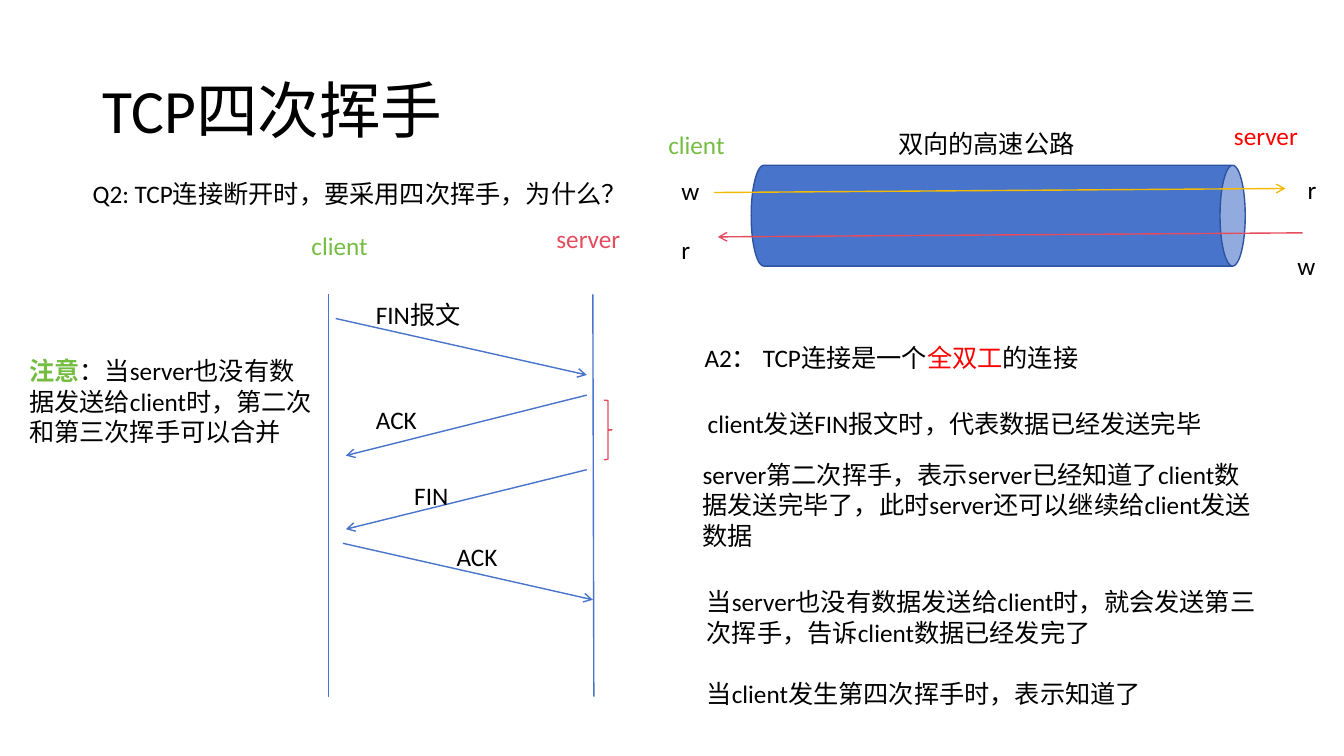
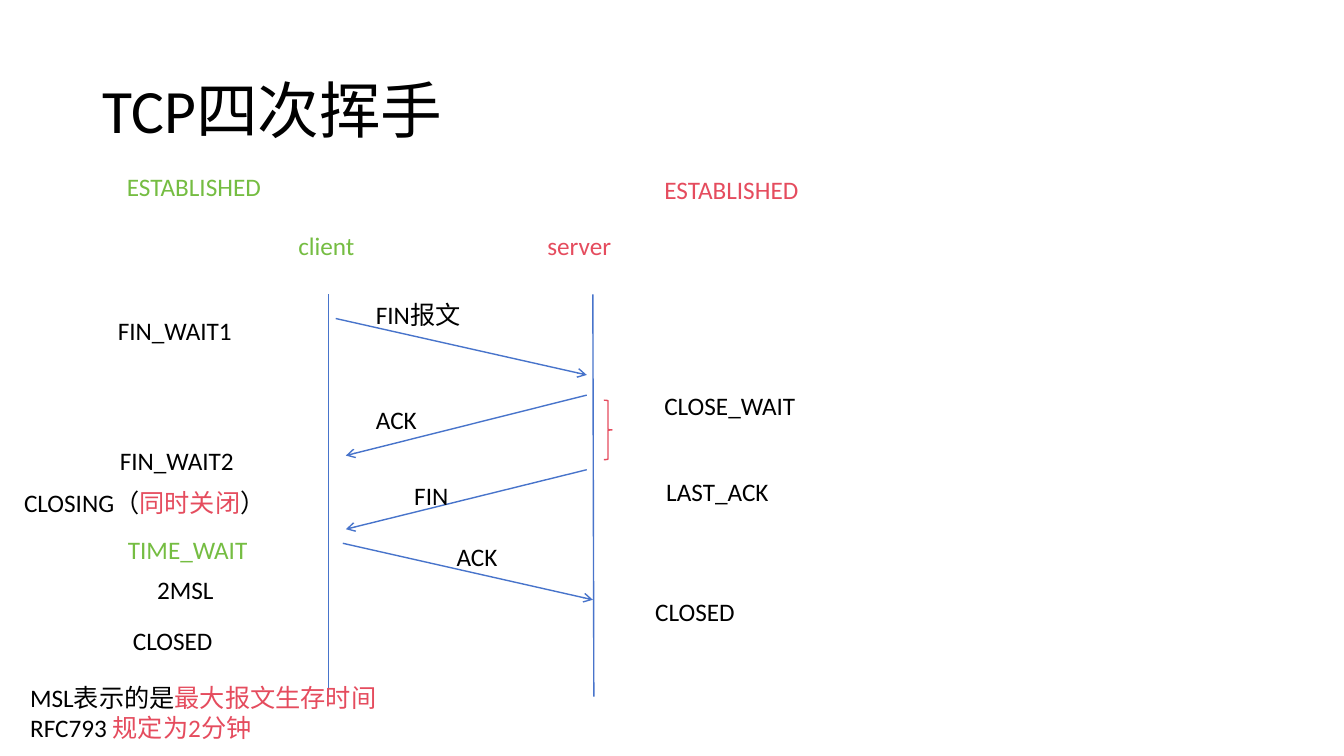
from dataclasses import dataclass

from lxml import etree
from pptx import Presentation
from pptx.dml.color import RGBColor
from pptx.enum.shapes import MSO_CONNECTOR, MSO_SHAPE
from pptx.enum.text import MSO_ANCHOR, MSO_AUTO_SIZE
from pptx.oxml.ns import qn
from pptx.util import Inches, Pt

STRAIGHT = MSO_CONNECTOR.STRAIGHT
CAN, RIGHT_BRACE = MSO_SHAPE.CAN, MSO_SHAPE.RIGHT_BRACE
MIDDLE = MSO_ANCHOR.MIDDLE
GROW = MSO_AUTO_SIZE.SHAPE_TO_FIT_TEXT
BLANK = 6


@dataclass(frozen=True)
class Theme:
    font: str = "Calibri"
    title_size: int = 44
    body_size: int = 18
    line_width: int = 1
    ink: str = "000000"
    blue: str = "4874CB"
    dark_blue: str = "2E54A1"
    green: str = "75BD42"
    rose: str = "E54C5E"
    red: str = "FF0000"
    gold: str = "F2BA02"


T = Theme()


def rgb(value):
    return RGBColor.from_string(value)


def format_run(r, color, size=T.body_size, bold=False):
    r.font.name = T.font
    r.font.size = Pt(size)
    r.font.bold = bold
    r.font.color.rgb = rgb(color)


def add_box(s, x, y, w, h):
    tf = s.shapes.add_textbox(Inches(x), Inches(y), Inches(w), Inches(h)).text_frame
    tf.word_wrap = True
    return tf


def add_title(s, text):
    tf = add_box(s, 0.92, 0.4, 11.5, 1.45)
    tf.vertical_anchor = MIDDLE
    tf.text = text
    p = tf.paragraphs[0]
    p.line_spacing = 0.9
    format_run(p.runs[0], T.ink, T.title_size)


def add_label(s, x, y, w, text, color=T.ink, h=0.4):
    tf = add_box(s, x, y, w, h)
    tf.auto_size = GROW
    tf.text = text
    format_run(tf.paragraphs[0].runs[0], color)


def add_rich_text(s, x, y, w, h, paragraphs, gap=0, grow=True):
    """Each paragraph is a list of (text, colour) or (text, colour, bold) runs."""
    tf = add_box(s, x, y, w, h)
    if grow:
        tf.auto_size = GROW
    for i, runs in enumerate(paragraphs):
        p = tf.add_paragraph() if i else tf.paragraphs[0]
        if i:
            p.space_before = Pt(gap)
        for text, color, *bold in runs:
            r = p.add_run()
            r.text = text
            format_run(r, color, bold=bool(bold and bold[0]))


def add_line(s, start, end, color=T.blue, arrow=False):
    points = [Inches(v) for v in (*start, *end)]
    line = s.shapes.add_connector(STRAIGHT, *points)
    line.line.color.rgb = rgb(color)
    line.line.width = Pt(T.line_width)
    if arrow:
        etree.SubElement(line.line._get_or_add_ln(), qn("a:tailEnd"), type="arrow")
    etree.SubElement(line._element.spPr, qn("a:effectLst"))


def add_outline_shape(s, kind, x, y, w, h, line, fill=None):
    sp = s.shapes.add_shape(kind, Inches(x), Inches(y), Inches(w), Inches(h))
    sp.shadow.inherit = False
    if fill:
        sp.fill.solid()
        sp.fill.fore_color.rgb = rgb(fill)
    else:
        sp.fill.background()
    sp.line.color.rgb = rgb(line)
    sp.line.width = Pt(T.line_width)
    return sp


def add_sequence_diagram(s):
    """Two lifelines, the four messages between them and the waiting brace."""
    for top_x, bottom_x in ((3.26, 3.26), (5.88, 5.89)):
        add_line(s, (top_x, 2.92), (bottom_x, 6.91))
    messages = (
        ((3.33, 3.16), (5.82, 3.72), "FIN报文", 3.63, 2.92, 1.34),
        ((5.82, 3.92), (3.43, 4.52), "ACK", 3.63, 3.96, 1.41),
        ((5.82, 4.66), (3.43, 5.25), "FIN", 4.01, 4.72, 0.72),
        ((3.4, 5.39), (5.88, 5.95), "ACK", 4.43, 5.32, 0.94),
    )
    for start, end, text, x, y, w in messages:
        add_line(s, start, end, arrow=True)
        add_label(s, x, y, w, text)
    add_outline_shape(s, RIGHT_BRACE, 5.99, 3.97, 0.08, 0.59, T.rose)


def add_duplex_pipe(s):
    can = add_outline_shape(s, CAN, 9.4, -0.31, 1, 4.9, T.dark_blue, T.blue)
    can.rotation = 90
    add_line(s, (7.08, 1.91), (12.75, 1.87), T.gold, arrow=True)
    add_line(s, (12.92, 2.31), (7.12, 2.35), T.rose, arrow=True)
    add_label(s, 6.53, 1.23, 1.05, "client", T.green)
    add_label(s, 12.14, 1.14, 0.95, "server", T.red)
    add_label(s, 8.81, 1.22, 2.47, "双向的高速公路")
    for x, y, w, text in ((6.66, 1.69, 0.33, "w"), (12.87, 1.68, 0.24, "r"),
                          (12.77, 2.43, 0.56, "w"), (6.66, 2.28, 0.61, "r")):
        add_label(s, x, y, w, text)


def new_slide(prs):
    s = prs.slides.add_slide(prs.slide_layouts[BLANK])
    add_title(s, "TCP四次挥手")
    add_sequence_diagram(s)
    return s


def build_reason_slide(prs):
    s = new_slide(prs)
    add_label(s, 0.82, 1.72, 6, "Q2: TCP连接断开时，要采用四次挥手，为什么？")
    add_label(s, 2.99, 2.24, 0.85, "client", T.green)
    add_label(s, 5.42, 2.17, 1.24, "server", T.rose)
    add_duplex_pipe(s)
    add_rich_text(s, 6.89, 3.35, 4.24, 0.4, [
        [("A2： TCP连接是一个", T.ink), ("全双工", T.red), ("的连接", T.ink)]])
    add_label(s, 6.92, 4, 5.65, "client发送FIN报文时，代表数据已经发送完毕")
    add_label(s, 6.87, 4.51, 5.7,
              "server第二次挥手，表示server已经知道了client数据发送完毕了，"
              "此时server还可以继续给client发送数据", h=1.01)
    add_rich_text(s, 6.91, 5.77, 5.85, 1.31, [
        [("当server也没有数据发送给client时，就会发送第三次挥手，"
          "告诉client数据已经发完了", T.ink)],
        [("当client发生第四次挥手时，表示知道了", T.ink)]], gap=22)
    add_rich_text(s, 0.19, 3.48, 3.07, 1.63, [
        [("注意", T.green, True),
         ("：当server也没有数据发送给client时，第二次和第三次挥手可以合并", T.ink)]],
        grow=False)


def build_state_slide(prs):
    s = new_slide(prs)
    labels = (
        (2.86, 2.24, 0.85, "client", T.green),
        (5.33, 2.24, 1.24, "server", T.rose),
        (1.16, 1.65, 1.95, "ESTABLISHED", T.green),
        (6.49, 1.68, 1.95, "ESTABLISHED", T.rose),
        (1.07, 3.08, 1.68, "FIN_WAIT1", T.ink),
        (6.49, 3.82, 2.32, "CLOSE_WAIT", T.ink),
        (6.51, 4.68, 1.67, "LAST_ACK", T.ink),
        (1.09, 4.37, 1.77, "FIN_WAIT2", T.ink),
        (1.17, 5.25, 1.71, "TIME_WAIT", T.green),
        (1.46, 5.65, 1.66, "2MSL", T.ink),
        (1.22, 6.15, 2.11, "CLOSED", T.ink),
        (6.4, 5.87, 2.11, "CLOSED", T.ink),
    )
    for label in labels:
        add_label(s, *label)
    add_rich_text(s, 0.14, 4.79, 2.85, 0.4, [
        [("CLOSING（", T.ink), ("同时关闭", T.rose), ("）", T.ink)]])
    add_rich_text(s, 0.2, 6.72, 3.81, 0.71, [
        [("MSL表示的是", T.ink), ("最大报文生存时间", T.rose)],
        [("RFC793 ", T.ink), ("规定为2分钟", T.rose)]])


def main():
    prs = Presentation()
    prs.slide_width = Inches(13.33)
    prs.slide_height = Inches(7.5)
    build_reason_slide(prs)
    build_state_slide(prs)
    prs.save("out.pptx")


if __name__ == "__main__":
    main()
